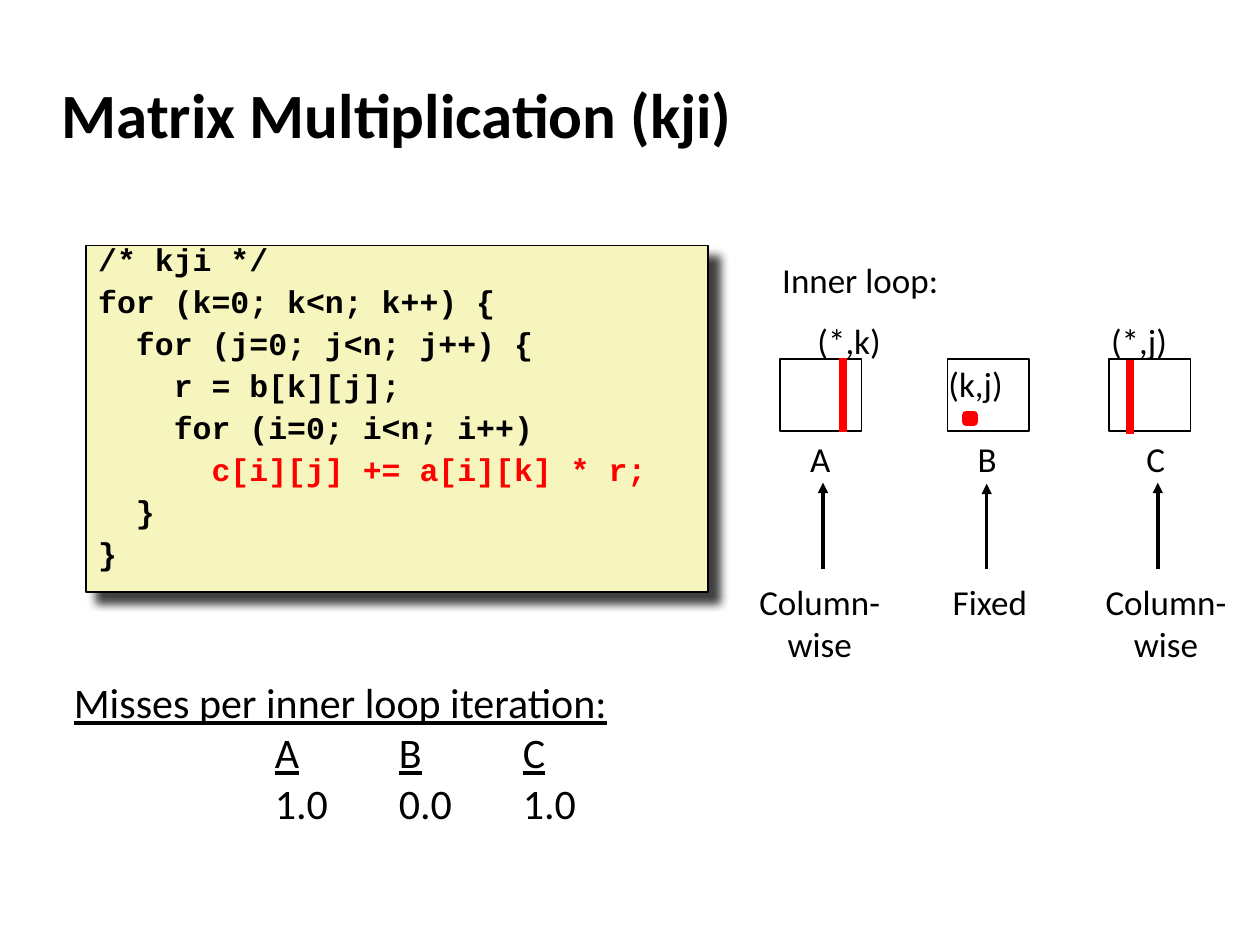
import lxml.etree
import pptx
import pptx.dml.color
import pptx.enum.shapes
import pptx.enum.text
import pptx.oxml.ns
import pptx.util

Cm, Pt = pptx.util.Cm, pptx.util.Pt
ALIGN = pptx.enum.text.PP_ALIGN
ANCHOR = pptx.enum.text.MSO_ANCHOR
RECTANGLE = pptx.enum.shapes.MSO_SHAPE.RECTANGLE
STRAIGHT = pptx.enum.shapes.MSO_CONNECTOR.STRAIGHT
BLACK, WHITE, RED, CREAM = "000000", "FFFFFF", "FF0000", "F6F5BD"

LABEL = {"name": "Calibri", "size": Pt(20)}
TITLE = {"name": "Calibri", "size": Pt(36), "bold": True}
CODE = {"name": "Courier New", "size": Pt(18), "bold": True}
MISSES = {"name": "Calibri", "size": Pt(24)}

CODE_LINES = [
    ("/* kji */", BLACK),
    ("for (k=0; k<n; k++) {", BLACK),
    ("  for (j=0; j<n; j++) {", BLACK),
    ("    r = b[k][j];", BLACK),
    ("    for (i=0; i<n; i++)", BLACK),
    ("      c[i][j] += a[i][k] * r;", RED),
    ("  }", BLACK),
    ("}", BLACK),
]

# name, square left, name left, arrow x, arrow tip y,
# index (text, left, top, width), access (lines, left, width)
MATRICES = [
    ("A", 15.72, 16.08, 16.59, 9.73,
     ("(*,k)", 16.23, 6.32, 1.8), (["Column-", "wise"], 15.04, 2.97)),
    ("B", 19.1, 19.46, 19.89, 9.75,
     ("(k,j)", 18.87, 7.19, 1.6), (["Fixed"], 18.95, 2.01)),
    ("C", 22.35, 22.86, 23.34, 9.73,
     ("(*,j)", 22.15, 6.32, 1.65), (["Column-", "wise"], 22.02, 2.97)),
]


def color(hex_string):
    return pptx.dml.color.RGBColor.from_string(hex_string)


def apply(target, values):
    for name, value in values.items():
        setattr(target, name, value)


def add_element(parent, tag, **attributes):
    return lxml.etree.SubElement(parent, pptx.oxml.ns.qn(tag), attributes)


def add_run(paragraph, text, font, hex_string=BLACK):
    run = paragraph.add_run()
    run.text = text
    apply(run.font, font)
    run.font.color.rgb = color(hex_string)


def new_paragraphs(text_frame, count):
    """Return the frame's first paragraph and as many more as count asks for."""
    return [text_frame.paragraphs[0]] + [
        text_frame.add_paragraph() for _ in range(count - 1)]


def add_text(slide, lines, left, top, width, height, font=LABEL,
             alignment=ALIGN.LEFT, wrap=False, anchor=ANCHOR.TOP):
    box = slide.shapes.add_textbox(Cm(left), Cm(top), Cm(width), Cm(height))
    apply(box.text_frame, {"word_wrap": wrap, "vertical_anchor": anchor})
    paragraphs = new_paragraphs(box.text_frame, len(lines))
    for paragraph, line in zip(paragraphs, lines):
        paragraph.alignment = alignment
        add_run(paragraph, line, font)


def add_rectangle(slide, left, top, width, height, fill=WHITE,
                  line=BLACK, line_width=1):
    shape = slide.shapes.add_shape(
        RECTANGLE, Cm(left), Cm(top), Cm(width), Cm(height))
    shape.shadow.inherit = False
    shape.fill.solid()
    shape.fill.fore_color.rgb = color(fill)
    shape.line.color.rgb = color(line)
    shape.line.width = Pt(line_width)
    return shape


def add_line(slide, x, start_y, end_y, hex_string, width, arrow=False):
    """Draw a vertical line, with an arrowhead at its end if asked."""
    connector = slide.shapes.add_connector(
        STRAIGHT, Cm(x), Cm(start_y), Cm(x), Cm(end_y))
    connector.line.color.rgb = color(hex_string)
    connector.line.width = Pt(width)
    if arrow:
        add_element(connector.line._get_or_add_ln(), "a:tailEnd", type="triangle")
    add_element(connector._element.spPr, "a:effectLst")


def add_drop_shadow(shape):
    effects = shape._element.spPr.find(pptx.oxml.ns.qn("a:effectLst"))
    shadow = add_element(effects, "a:outerShdw", blurRad=str(Pt(5)),
                         dist=str(Pt(8.5)), dir="2700000", algn="tl",
                         rotWithShape="0")
    tone = add_element(shadow, "a:srgbClr", val=BLACK)
    add_element(tone, "a:alpha", val="75000")


def add_code(slide):
    box = add_rectangle(slide, 1.73, 4.95, 12.55, 6.98, CREAM)
    add_drop_shadow(box)
    apply(box.text_frame, {"vertical_anchor": ANCHOR.TOP, "word_wrap": True})
    paragraphs = new_paragraphs(box.text_frame, len(CODE_LINES))
    for paragraph, (text, hex_string) in zip(paragraphs, CODE_LINES):
        apply(paragraph, {"alignment": ALIGN.LEFT, "line_spacing": 0.65,
                          "space_before": Pt(10)})
        add_run(paragraph, text, CODE, hex_string)


def add_matrix(slide, name, left, name_left, arrow_x, tip_y, index, access):
    add_rectangle(slide, left, 7.24, 1.65, 1.45)
    add_text(slide, [name], name_left, 8.69, 0.9, 1.09)
    index_text, index_left, index_top, index_width = index
    add_text(slide, [index_text], index_left, index_top, index_width, 1.09)
    add_line(slide, arrow_x, 11.48, tip_y, BLACK, 2, arrow=True)
    lines, access_left, access_width = access
    add_text(slide, lines, access_left, 11.58, access_width,
             0.23 + 0.86 * len(lines), alignment=ALIGN.CENTER)


def add_misses(slide):
    box = slide.shapes.add_textbox(Cm(1.24), Cm(13.51), Cm(13.79), Cm(3.4))
    box.text_frame.word_wrap = True
    heading, names, rates = new_paragraphs(box.text_frame, 3)
    underlined = {**MISSES, "underline": True}
    add_run(heading, "Misses per inner loop iteration:", underlined)
    for paragraph, cells, font in ((names, "ABC", underlined),
                                   (rates, ("1.0", "0.0", "1.0"), MISSES)):
        properties = paragraph._p.get_or_add_pPr()
        apply(paragraph, {"level": 1})
        for name, length in (("marL", 1.55), ("indent", -0.61),
                             ("defTabSz", 2.5)):
            properties.set(name, str(Cm(length)))
        add_run(paragraph, "\t", MISSES)
        for cell in cells:
            add_run(paragraph, "\t", MISSES)
            add_run(paragraph, cell, font)


def main():
    presentation = pptx.Presentation()
    apply(presentation, {"slide_width": Cm(25.4), "slide_height": Cm(19.05)})
    slide = presentation.slides.add_slide(presentation.slide_layouts[6])
    add_text(slide, ["Matrix Multiplication (kji)"], 0.99, 1.22, 21.08, 2.11,
             TITLE, wrap=True, anchor=ANCHOR.MIDDLE)
    add_code(slide)
    add_text(slide, ["Inner loop:"], 15.52, 5.08, 3.68, 1.09)
    for matrix in MATRICES:
        add_matrix(slide, *matrix)
    add_line(slide, 16.99, 8.71, 7.21, RED, 4.5)
    add_rectangle(slide, 19.48, 8.36, 0.15, 0.15, BLACK, RED, 4.5)
    add_line(slide, 22.78, 8.74, 7.26, RED, 4.5)
    add_misses(slide)
    presentation.save("out.pptx")


if __name__ == "__main__":
    main()
